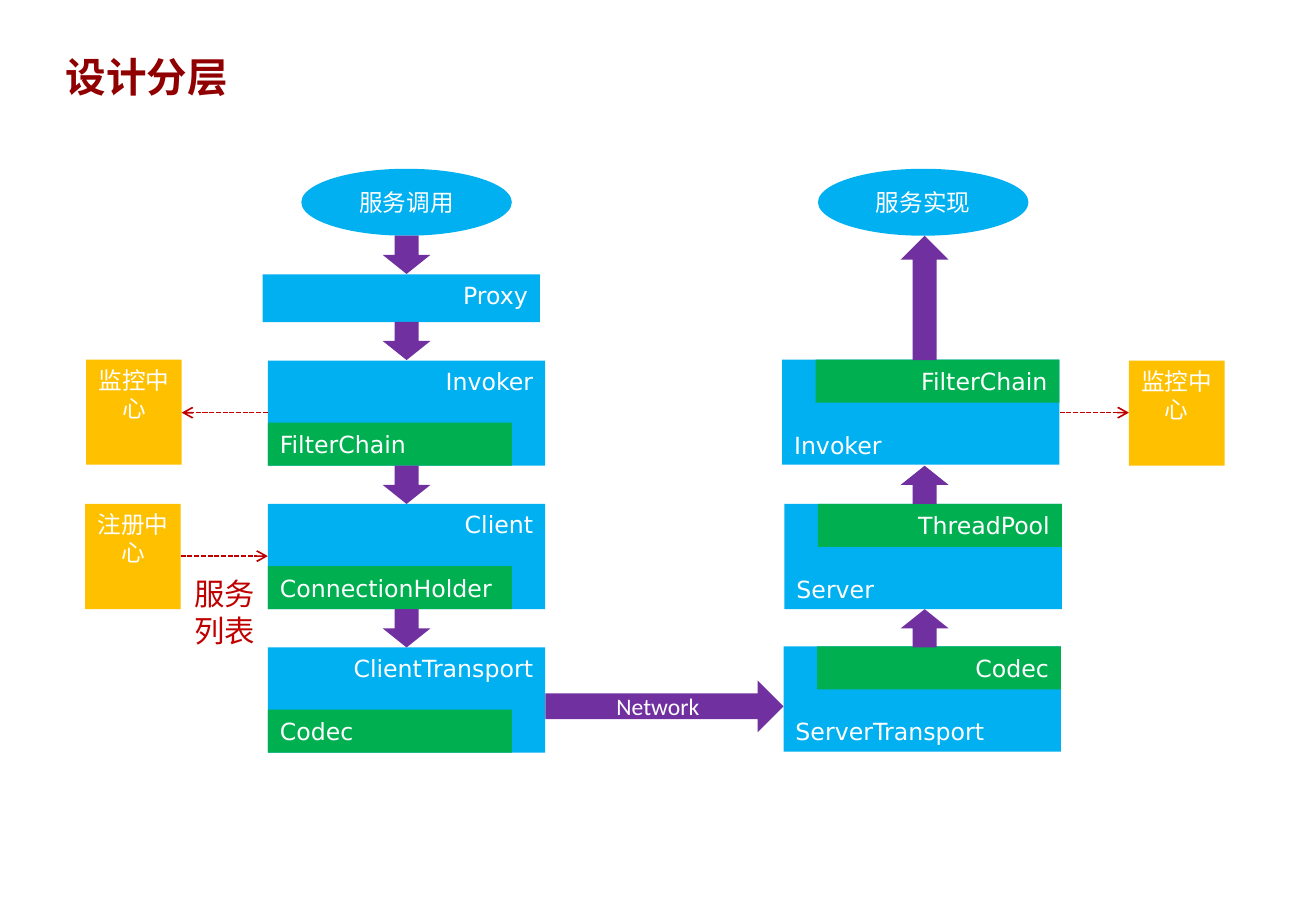
from lxml.etree import SubElement
from pptx import Presentation
from pptx.dml.color import RGBColor
from pptx.enum.dml import MSO_LINE
from pptx.enum.shapes import MSO_CONNECTOR, MSO_SHAPE
from pptx.enum.text import MSO_ANCHOR, PP_ALIGN
from pptx.oxml.ns import qn
from pptx.util import Cm, Pt

BLUE, GREEN, AMBER = "00B0F0", "00B050", "FFC000"
PURPLE, RED, DARK_RED, WHITE = "7030A0", "C00000", "900000", "FFFFFF"
LEFT, CENTER, RIGHT = PP_ALIGN.LEFT, PP_ALIGN.CENTER, PP_ALIGN.RIGHT
TOP, MIDDLE, BOTTOM = MSO_ANCHOR.TOP, MSO_ANCHOR.MIDDLE, MSO_ANCHOR.BOTTOM
LAYER_WIDTH, LAYER_HEIGHT = 5.8, 2.2
PART_WIDTH, PART_HEIGHT = 5.1, 0.9


def color(value):
    return RGBColor.from_string(value)


class Diagram:
    def __init__(self, slide, font="DejaVu Sans", size=14):
        self.slide = slide
        self.font = font
        self.size = size

    def add_words(self, paragraph, text, align, ink=WHITE, font=None, size=None, bold=False):
        paragraph.alignment = align
        run = paragraph.add_run()
        run.text = text
        run.font.name = font or self.font
        run.font.size = Pt(size or self.size)
        run.font.bold = bold
        run.font.color.rgb = color(ink)

    def title(self, text, left, top, width, height):
        heading = self.slide.shapes.title
        heading.left, heading.top = Cm(left), Cm(top)
        heading.width, heading.height = Cm(width), Cm(height)
        heading.text_frame.vertical_anchor = MIDDLE
        self.add_words(heading.text_frame.paragraphs[0], text, LEFT, DARK_RED,
                       "Noto Sans CJK SC", 24, True)

    def block(self, kind, left, top, width, height, fill, text="",
              align=CENTER, anchor=MIDDLE, font=None):
        shape = self.slide.shapes.add_shape(kind, Cm(left), Cm(top), Cm(width), Cm(height))
        shape.shadow.inherit = False
        shape.fill.solid()
        shape.fill.fore_color.rgb = color(fill)
        shape.line.fill.background()
        if text:
            shape.text_frame.word_wrap = True
            shape.text_frame.vertical_anchor = anchor
            self.add_words(shape.text_frame.paragraphs[0], text, align, font=font)

    def oval(self, text, left):
        self.block(MSO_SHAPE.OVAL, left, 3.53, 4.4, 1.4, BLUE, text, font="Calibri")

    def box(self, *args, **style):
        self.block(MSO_SHAPE.RECTANGLE, *args, **style)

    def center(self, text, left, top):
        self.box(left, top, 2, LAYER_HEIGHT, AMBER, text, anchor=TOP)

    def client_layer(self, name, part, left, top):
        self.box(left, top, LAYER_WIDTH, LAYER_HEIGHT, BLUE, name, align=RIGHT, anchor=TOP)
        self.box(left, top + LAYER_HEIGHT - PART_HEIGHT, PART_WIDTH, PART_HEIGHT, GREEN,
                 part, align=LEFT)

    def server_layer(self, name, part, left, top):
        self.box(left, top, LAYER_WIDTH, LAYER_HEIGHT, BLUE, name, align=LEFT, anchor=BOTTOM)
        self.box(left + LAYER_WIDTH - PART_WIDTH, top, PART_WIDTH, PART_HEIGHT, GREEN,
                 part, align=RIGHT)

    def link(self, start, end, level):
        connector = self.slide.shapes.add_connector(
            MSO_CONNECTOR.ELBOW, Cm(start), Cm(level), Cm(end), Cm(level))
        connector.line.color.rgb = color(RED)
        connector.line.width = Pt(1)
        connector.line.dash_style = MSO_LINE.SQUARE_DOT
        properties = connector._element.spPr
        SubElement(properties.find(qn("a:ln")), qn("a:tailEnd"), type="arrow")
        SubElement(properties, qn("a:effectLst"))

    def label(self, lines, left, top, width, height):
        frame = self.slide.shapes.add_textbox(
            Cm(left), Cm(top), Cm(width), Cm(height)).text_frame
        frame.word_wrap = False
        for index, line in enumerate(lines):
            paragraph = frame.add_paragraph() if index else frame.paragraphs[0]
            self.add_words(paragraph, line, LEFT, RED, "Arial", 18)


def main():
    deck = Presentation()
    deck.slide_width, deck.slide_height = Cm(27.51), Cm(19.05)
    diagram = Diagram(deck.slides.add_slide(deck.slide_layouts[5]))
    diagram.title("设计分层", 1.12, 0.97, 17.91, 1.27)

    diagram.oval("服务调用", 6.3)
    diagram.box(5.49, 5.74, LAYER_WIDTH, 1, BLUE, "Proxy", align=RIGHT, anchor=TOP)
    client_layers = [("Invoker", "FilterChain"), ("Client", "ConnectionHolder"),
                     ("ClientTransport", "Codec")]
    for index, (name, part) in enumerate(client_layers):
        diagram.client_layer(name, part, 5.6, 7.54 + 3 * index)
    for top in (4.93, 6.73, 9.74, 12.74):
        diagram.block(MSO_SHAPE.DOWN_ARROW, 8, top, 1, 0.8, PURPLE)

    diagram.oval("服务实现", 17.1)
    for name, part, left, top in [("Invoker", "FilterChain", 16.35, 7.52),
                                  ("Server", "ThreadPool", 16.4, 10.54),
                                  ("ServerTransport", "Codec", 16.38, 13.52)]:
        diagram.server_layer(name, part, left, top)
    for top, height in [(4.93, 2.6), (9.74, 0.8), (12.74, 0.8)]:
        diagram.block(MSO_SHAPE.UP_ARROW, 18.83, top, 1, height, PURPLE)
    diagram.block(MSO_SHAPE.RIGHT_ARROW, 11.4, 14.23, 4.98, 1.08, PURPLE, "Network",
                  font="Calibri")

    diagram.center("监控中心", 1.8, 7.52)
    diagram.center("注册中心", 1.78, 10.54)
    diagram.center("监控中心", 23.6, 7.54)
    for start, end, level in [(5.6, 3.8, 8.63), (3.78, 5.6, 11.63), (22.15, 23.6, 8.63)]:
        diagram.link(start, end, level)
    diagram.label(["服务", "列表"], 3.81, 11.91, 1.8, 1.8)

    deck.save("out.pptx")


if __name__ == "__main__":
    main()
